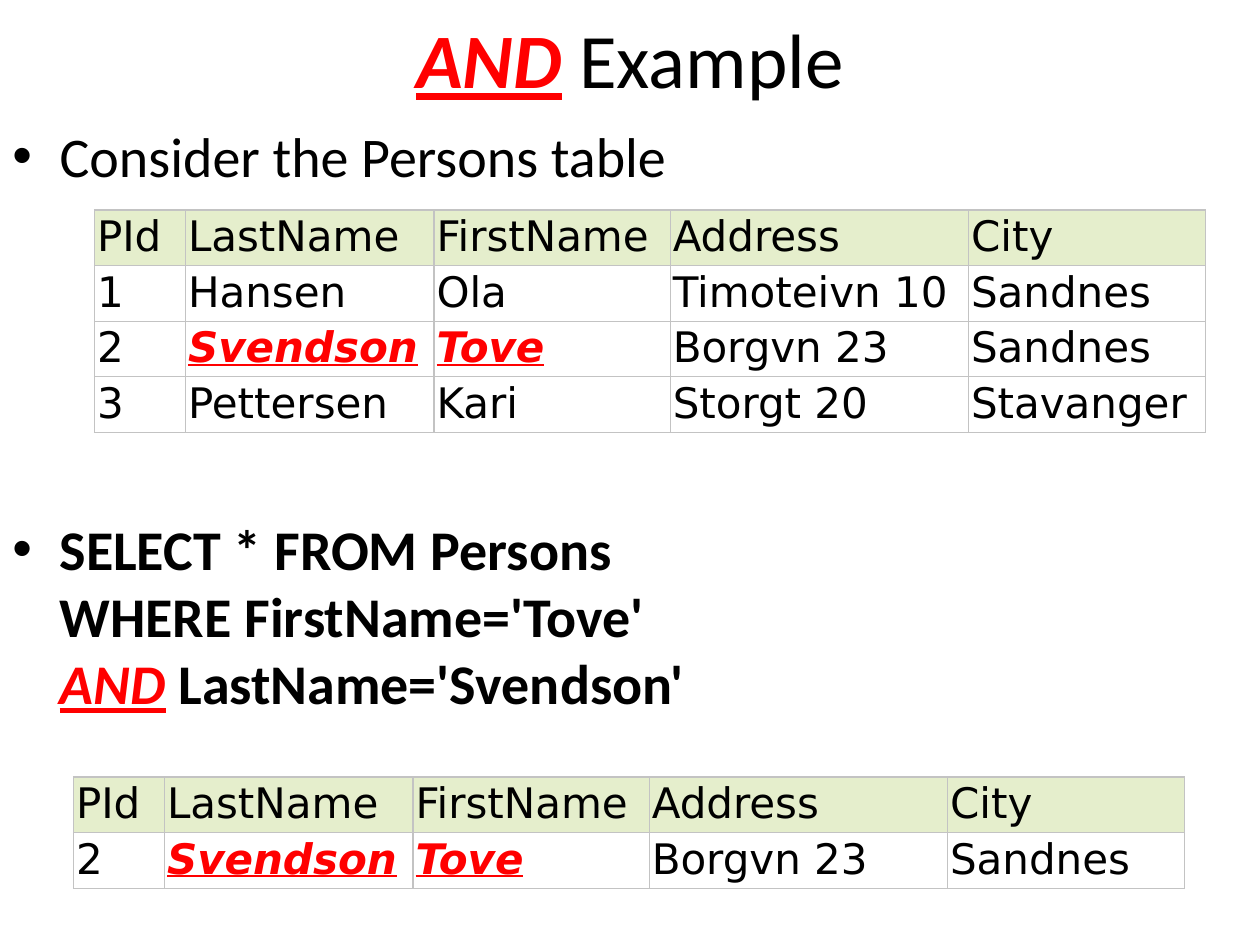
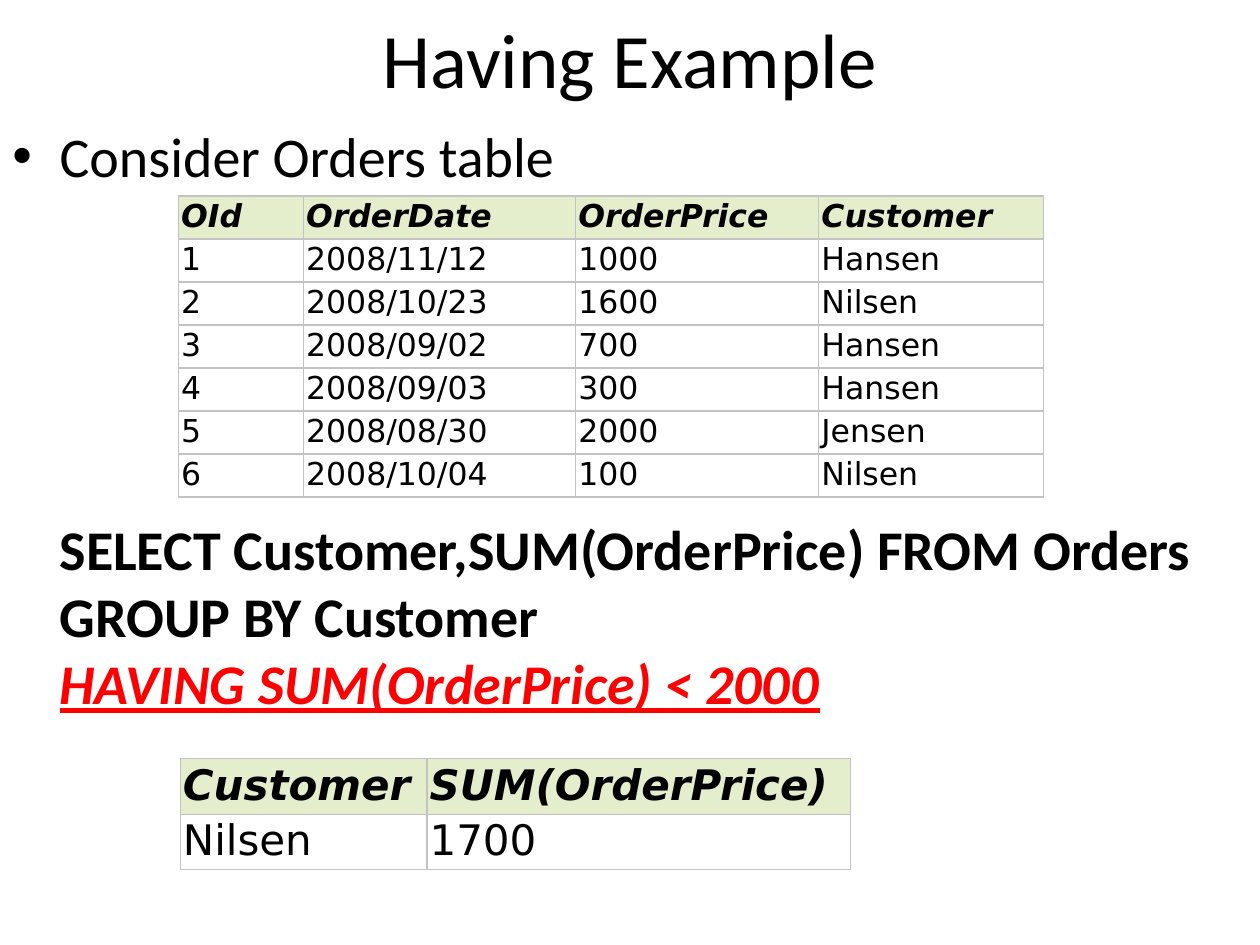
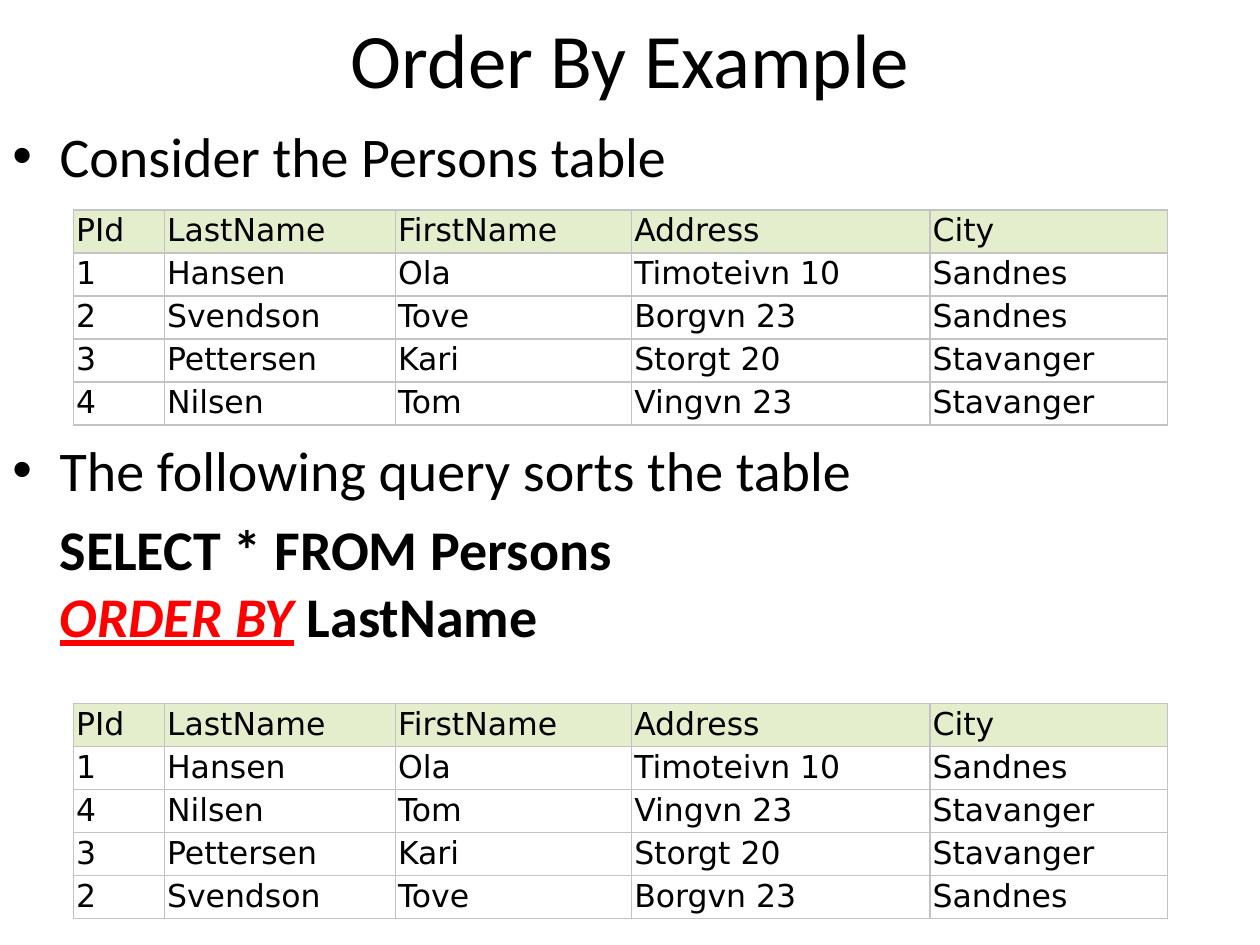
from dataclasses import dataclass

from pptx import Presentation
from pptx.dml.color import RGBColor
from pptx.enum.text import MSO_ANCHOR, PP_ALIGN
from pptx.oxml import parse_xml
from pptx.oxml.ns import nsdecls
from pptx.util import Pt


@dataclass(frozen=True)
class Theme:
    ink: str = "000000"
    hot: str = "FF0000"
    head: str = "E5EECC"
    cell: str = "FFFFFF"
    rule: str = "C3C3C3"
    text: str = "Calibri"
    data: str = "DejaVu Sans"
    title: float = 44
    body: float = 32
    large: float = 24
    small: float = 18
    gap: float = 6.4
    line: float = 38.5
    indent: float = 27
    pad: float = 1.5


T = Theme()
WIDE, HIGH = 720, 540
TITLE_BOX = (0, 0, WIDE, 66)
BODY_BOX = (0, 66, WIDE, HIGH - 66)

FIELDS = ["PId", "LastName", "FirstName", "Address", "City"]
PERSONS = [
    ["1", "Hansen", "Ola", "Timoteivn 10", "Sandnes"],
    ["2", "Svendson", "Tove", "Borgvn 23", "Sandnes"],
    ["3", "Pettersen", "Kari", "Storgt 20", "Stavanger"],
    ["4", "Nilsen", "Tom", "Vingvn 23", "Stavanger"],
]
MATCH = ["2", "_Svendson_", "_Tove_", "Borgvn 23", "Sandnes"]
ORDERS = [
    ["1", "2008/11/12", "1000", "Hansen"],
    ["2", "2008/10/23", "1600", "Nilsen"],
    ["3", "2008/09/02", "700", "Hansen"],
    ["4", "2008/09/03", "300", "Hansen"],
    ["5", "2008/08/30", "2000", "Jensen"],
    ["6", "2008/10/04", "100", "Nilsen"],
]
WIDE_COLS = [52, 142, 135, 170.5, 135.5]
SLIM_COLS = [52, 132, 135, 170.5, 135.5]


def color(code):
    return RGBColor.from_string(code)


def style(font, name, size, bold=False, italic=False):
    font.name, font.size = name, Pt(size)
    font.bold, font.italic = bold, italic
    font.color.rgb = color(T.ink)


def write(para, text):
    """Add runs; text between underscores is stressed, a newline breaks the line."""
    for n, part in enumerate(text.split("_")):
        for k, line in enumerate(part.split("\n")):
            if k:
                para.add_line_break()
            if not line:
                continue
            run = para.add_run()
            run.text = line
            if n % 2:
                font = run.font
                font.bold = font.italic = font.underline = True
                font.color.rgb = color(T.hot)


def place(shape, box):
    shape.left, shape.top, shape.width, shape.height = map(Pt, box)


def add_title(slide, text):
    title = slide.shapes.title
    place(title, TITLE_BOX)
    title.text_frame.vertical_anchor = MSO_ANCHOR.MIDDLE
    para = title.text_frame.paragraphs[0]
    para.alignment = PP_ALIGN.CENTER
    style(para.font, T.text, T.title)
    write(para, text)


def add_body(slide, items):
    """Each item is (text, bullet, bold, lines left free above it)."""
    frame = slide.shapes.add_textbox(*map(Pt, BODY_BOX)).text_frame
    frame.word_wrap = True
    for n, (text, bullet, bold, skip) in enumerate(items):
        para = frame.add_paragraph() if n else frame.paragraphs[0]
        props = para._p.get_or_add_pPr()
        props.set("marL", str(Pt(T.indent)))
        props.set("indent", str(Pt(-T.indent if bullet else 0)))
        if bullet:
            props.append(parse_xml(f'<a:buFont {nsdecls("a")} typeface="Arial"/>'))
            props.append(parse_xml(f'<a:buChar {nsdecls("a")} char="•"/>'))
        if n:
            para.space_before = Pt(T.gap + skip * (T.line + T.gap))
        style(para.font, T.text, T.body, bold)
        write(para, text)


def add_border(cell):
    props = cell._tc.get_or_add_tcPr()
    for side in "LRTB":
        props.append(parse_xml(
            f'<a:ln{side} {nsdecls("a")} w="{Pt(0.75)}"><a:solidFill>'
            f'<a:srgbClr val="{T.rule}"/></a:solidFill></a:ln{side}>'))


def add_grid(slide, spot, cols, rows, size, strong=False):
    """Draw a table whose first row is the header; strong sets it bold italic."""
    shape = slide.shapes.add_table(
        len(rows), len(cols), *map(Pt, (*spot, sum(cols), size * len(rows))))
    table = shape.table
    table.first_row = table.horz_banding = False
    for col, width in zip(table.columns, cols):
        col.width = Pt(width)
    for r, row in enumerate(rows):
        table.rows[r].height = Pt(size)
        for c, text in enumerate(row):
            cell = table.cell(r, c)
            cell.margin_left = cell.margin_right = Pt(T.pad)
            cell.margin_top = cell.margin_bottom = Pt(T.pad)
            add_border(cell)
            cell.fill.solid()
            cell.fill.fore_color.rgb = color(T.cell if r else T.head)
            para = cell.text_frame.paragraphs[0]
            mark = strong and r == 0
            style(para.font, T.data, size, mark, mark)
            write(para, text)


def add_page(deck, title, items):
    slide = deck.slides.add_slide(deck.slide_layouts[5])
    add_title(slide, title)
    add_body(slide, items)
    return slide


def and_page(deck):
    query = "SELECT * FROM Persons\nWHERE FirstName='Tove'\n_AND_ LastName='Svendson'"
    slide = add_page(deck, "_AND_ Example", [
        ("Consider the Persons table", True, False, 0),
        (query, True, True, 4),
    ])
    rows = [FIELDS, PERSONS[0], MATCH, PERSONS[2]]
    add_grid(slide, (54, 120), WIDE_COLS, rows, T.large)
    add_grid(slide, (42, 444), WIDE_COLS, [FIELDS, MATCH], T.large)


def having_page(deck):
    query = ("SELECT Customer,SUM(OrderPrice) FROM Orders\nGROUP BY Customer\n"
             "_HAVING SUM(OrderPrice) < 2000_")
    slide = add_page(deck, "Having Example", [
        ("Consider Orders table", True, False, 0),
        (query, False, True, 4),
    ])
    head = ["OId", "OrderDate", "OrderPrice", "Customer"]
    add_grid(slide, (102, 112), [71.5, 155.5, 139, 128.5],
             [head, *ORDERS], T.small, True)
    add_grid(slide, (103, 433.5), [141, 242],
             [["Customer", "SUM(OrderPrice)"], ["Nilsen", "1700"]], T.large, True)


def order_page(deck):
    slide = add_page(deck, "Order By Example", [
        ("Consider the Persons table", True, False, 0),
        ("The following query sorts the table", True, False, 3),
        ("SELECT * FROM Persons\n_ORDER BY_ LastName", False, True, 0),
    ])
    ranked = sorted(PERSONS, key=lambda row: row[1])
    for top, rows in ((120, PERSONS), (402, ranked)):
        add_grid(slide, (42, top), SLIM_COLS, [FIELDS, *rows], T.small)


def main():
    deck = Presentation()
    deck.slide_width, deck.slide_height = Pt(WIDE), Pt(HIGH)
    for page in (and_page, having_page, order_page):
        page(deck)
    deck.save("out.pptx")


if __name__ == "__main__":
    main()
